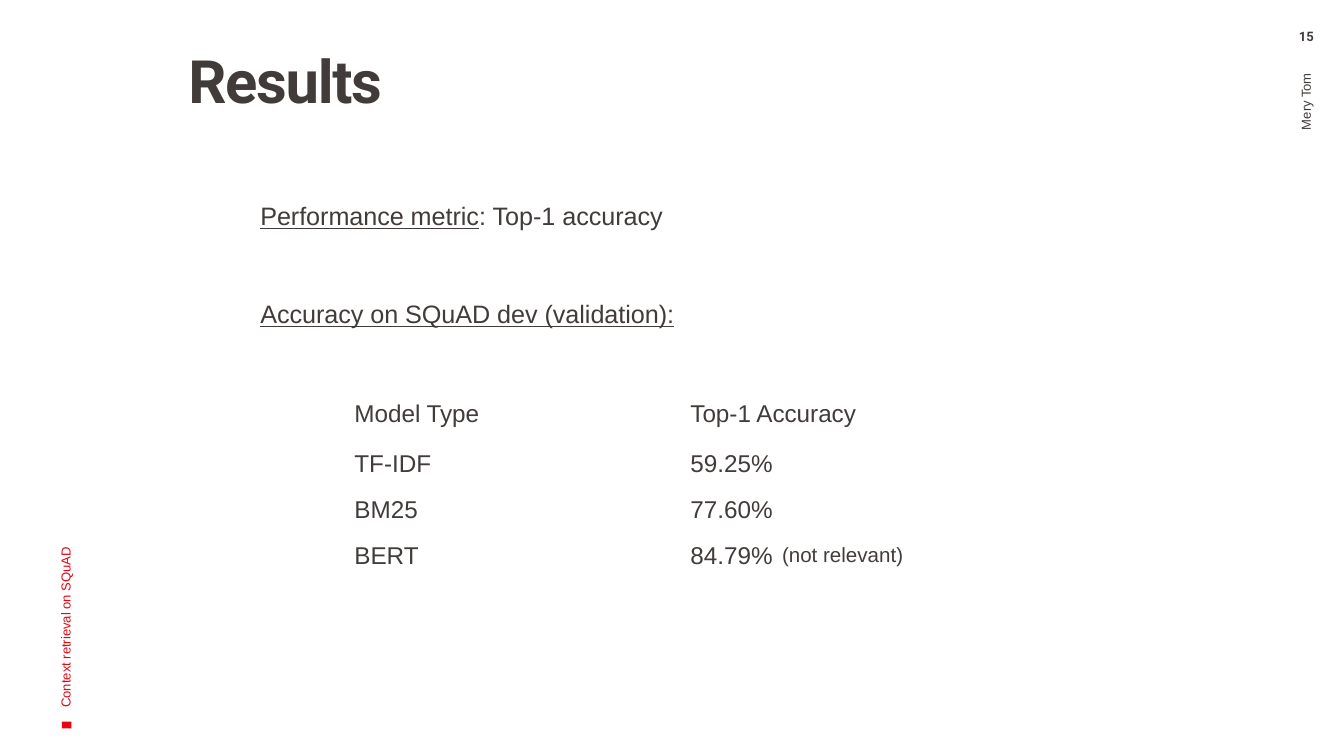
from dataclasses import dataclass

from pptx import Presentation
from pptx.dml.color import RGBColor
from pptx.enum.shapes import MSO_SHAPE
from pptx.enum.text import MSO_ANCHOR, PP_ALIGN
from pptx.util import Cm, Pt

DARK = "413C3A"
RED = "E30613"


@dataclass(frozen=True)
class Label:
    text: str
    left: float
    top: float
    width: float
    height: float
    size: float
    font: str = "Arial"
    color: str = DARK
    bold: bool = False
    underlined: str = ""
    rotation: int = 0
    align: PP_ALIGN = PP_ALIGN.LEFT
    anchor: MSO_ANCHOR = MSO_ANCHOR.TOP
    insets: tuple[float, float, float, float] = (0.25, 0.13, 0.25, 0.13)
    line_spacing: float = 1.0
    tracking: float = 0


LABELS = [
    Label("Results", 3.05, 0.99, 14.12, 2.97, 32, font="Roboto", bold=True,
          insets=(0.51, 0, 0.2, 0.13), line_spacing=0.9, tracking=-0.7),
    Label("Context retrieval on SQuAD", -3.4, 7.72, 9.27, 2.54, 7, color=RED,
          rotation=270, anchor=MSO_ANCHOR.MIDDLE),
    Label("Mery Tom", 19.76, 5.21, 9.83, 1.42, 7, rotation=270,
          align=PP_ALIGN.RIGHT, anchor=MSO_ANCHOR.MIDDLE,
          insets=(0.25, 0.13, 0.38, 0.13)),
    Label("15", 23.98, 0.53, 1.42, 0.46, 7, font="Roboto", bold=True,
          align=PP_ALIGN.CENTER, insets=(0.25, 0, 0.25, 0)),
    Label("Performance metric: Top-1 accuracy", 4.67, 3.66, 12.5, 0.84, 13.5,
          underlined="Performance metric"),
    Label("Accuracy on SQuAD dev (validation):", 4.67, 5.51, 12.7, 0.84, 13.5,
          underlined="Accuracy on SQuAD dev (validation):"),
]
RELEVANCE_NOTE = Label("(not relevant)", 14.53, 10.11, 4.32, 0.74, 11)

RESULTS = [
    ("Model Type", "Top-1 Accuracy"),
    ("TF-IDF", "59.25%"),
    ("BM25", "77.60%"),
    ("BERT", "84.79%"),
]
COLUMN_WIDTH = 6.35
HEADER_HEIGHT = 0.99
ROW_HEIGHT = 0.87


def rgb(color: str) -> RGBColor:
    return RGBColor.from_string(color)


def format_run(run, font: str, size: float, color: str, bold: bool = False) -> None:
    run.font.name = font
    run.font.size = Pt(size)
    run.font.color.rgb = rgb(color)
    run.font.bold = bold


def set_insets(target, insets: tuple[float, float, float, float]) -> None:
    (target.margin_left, target.margin_top,
     target.margin_right, target.margin_bottom) = map(Cm, insets)


def draw_label(slide, label: Label) -> None:
    shape = slide.shapes.add_textbox(
        Cm(label.left), Cm(label.top), Cm(label.width), Cm(label.height))
    shape.rotation = label.rotation
    text_frame = shape.text_frame
    text_frame.word_wrap = True
    text_frame.vertical_anchor = label.anchor
    set_insets(text_frame, label.insets)
    paragraph = text_frame.paragraphs[0]
    paragraph.text = label.underlined or label.text
    paragraph.alignment = label.align
    paragraph.line_spacing = label.line_spacing
    if label.underlined:
        paragraph.runs[0].font.underline = True
        remainder = label.text.removeprefix(label.underlined)
        if remainder:
            paragraph.add_run().text = remainder
    for run in paragraph.runs:
        format_run(run, label.font, label.size, label.color, label.bold)
        if label.tracking:
            run.font._element.set("spc", str(round(label.tracking * 100)))


def draw_marker(slide) -> None:
    shape = slide.shapes.add_shape(
        MSO_SHAPE.RECTANGLE, Cm(1.17), Cm(13.64), Cm(0.18), Cm(0.13))
    shape.shadow.inherit = False
    shape.fill.solid()
    shape.fill.fore_color.rgb = rgb(RED)
    shape.line.fill.background()


def draw_results(slide, results: list[tuple[str, str]]) -> None:
    heights = [HEADER_HEIGHT] + [ROW_HEIGHT] * (len(results) - 1)
    columns = len(results[0])
    table = slide.shapes.add_table(
        len(results), columns, Cm(6.35), Cm(7.34),
        Cm(COLUMN_WIDTH * columns), Cm(sum(heights))).table
    table.first_row = False
    table.horz_banding = False
    for column in table.columns:
        column.width = Cm(COLUMN_WIDTH)
    for row, height, texts in zip(table.rows, heights, results):
        row.height = Cm(height)
        for cell, text in zip(row.cells, texts):
            cell.fill.background()
            cell.vertical_anchor = MSO_ANCHOR.MIDDLE
            set_insets(cell, (0.35, 0.15, 0.35, 0.15))
            cell.text_frame.text = text
            format_run(cell.text_frame.paragraphs[0].runs[0], "Arial", 13, DARK)


def main() -> None:
    presentation = Presentation()
    presentation.slide_width = Cm(25.4)
    presentation.slide_height = Cm(14.29)
    slide = presentation.slides.add_slide(presentation.slide_layouts[6])
    draw_marker(slide)
    for label in LABELS:
        draw_label(slide, label)
    draw_results(slide, RESULTS)
    draw_label(slide, RELEVANCE_NOTE)
    presentation.save("out.pptx")


if __name__ == "__main__":
    main()
